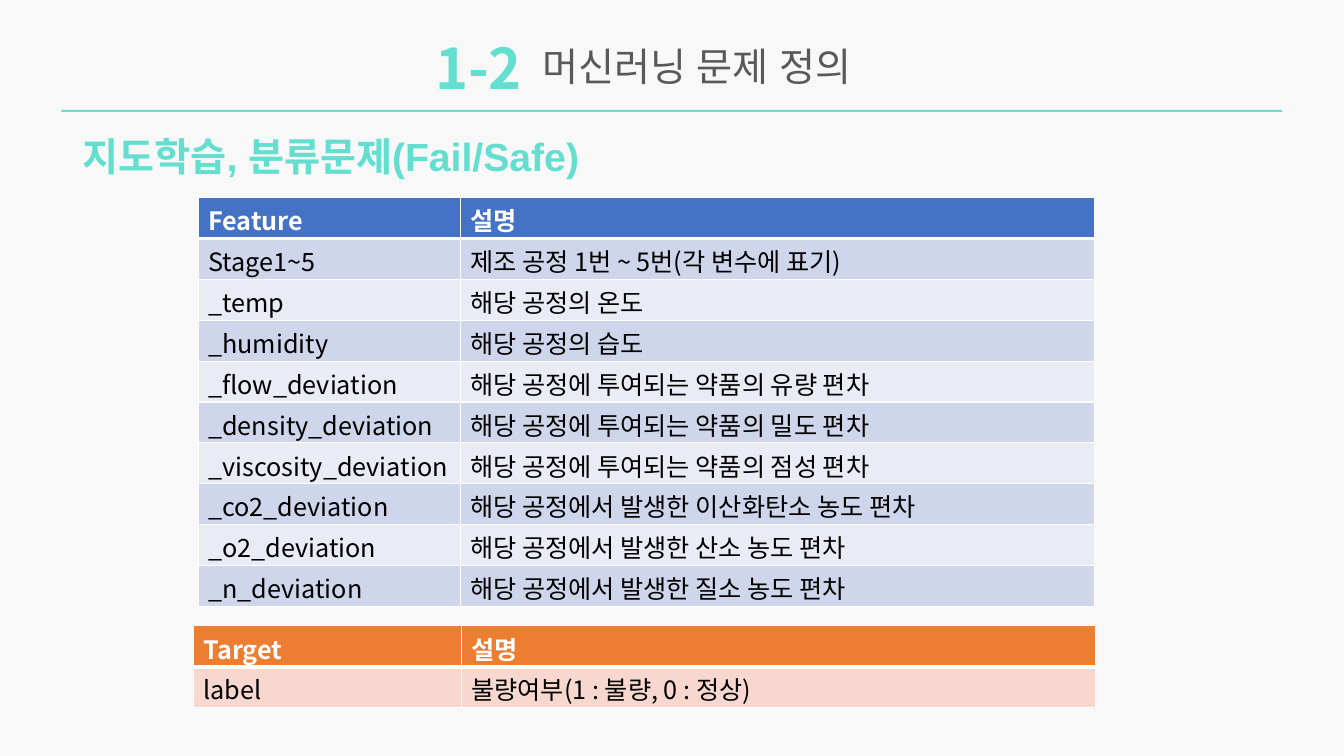
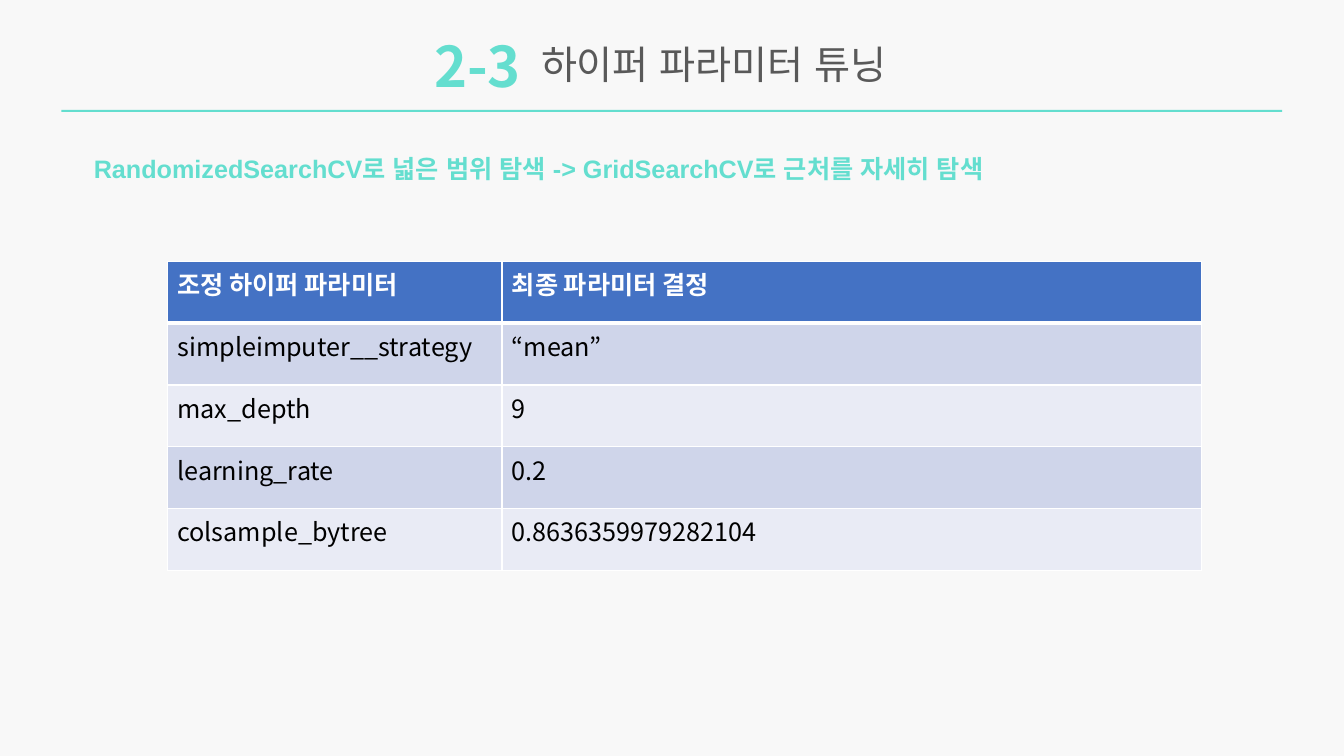
"""Build two slides on a machine learning problem and its tuned parameters."""

import dataclasses
import typing

import lxml.etree
import pptx
import pptx.dml.color
import pptx.enum.shapes
import pptx.enum.text
import pptx.oxml.ns
import pptx.slide
import pptx.table
import pptx.text.text
import pptx.util

Cm = pptx.util.Cm
Anchor = pptx.enum.text.MSO_ANCHOR
Rows = tuple[tuple[str, str], ...]


@dataclasses.dataclass(frozen=True)
class Theme:
    """Colours, fonts and type sizes of the deck."""

    paper: str = "F8F8F8"
    accent: str = "64DECF"
    title: str = "595959"
    ink: str = "000000"
    white: str = "FFFFFF"
    text_font: str = "Arial"
    table_font: str = "Noto Sans CJK KR"
    number_size: int = 40
    title_size: int = 28
    table_size: int = 18


@dataclasses.dataclass(frozen=True)
class Palette:
    """Header fill and alternating row fills of a table."""

    header: str
    bands: tuple[str, ...]


@dataclasses.dataclass(frozen=True)
class Box:
    """A rectangle in centimetres."""

    left: float
    top: float
    width: float
    height: float

    def lengths(self) -> dict[str, pptx.util.Length]:
        """Return the four sides as lengths."""
        return {name: Cm(value) for name, value in dataclasses.asdict(self).items()}


@dataclasses.dataclass(frozen=True)
class Style:
    """Look of one span of text."""

    font: str
    size: int
    color: str
    bold: bool = False


@dataclasses.dataclass(frozen=True)
class Grid:
    """Place, palette and wording of a table."""

    left: float
    top: float
    columns: tuple[float, ...]
    row_height: float
    palette: Palette
    rows: Rows


@dataclasses.dataclass(frozen=True)
class Topic:
    """Content of one slide."""

    number: str
    title: str
    heading_left: float
    heading_top: float
    message: str
    message_box: Box
    message_size: int
    grids: tuple[Grid, ...]


THEME = Theme()
BLUE = Palette("4472C4", ("CFD5EA", "E9EBF5"))
ORANGE = Palette("ED7D31", ("F8D7CE",))
RULE = Box(1.55, 2.77, 30.76, 0.05)

TOPICS = (
    Topic(
        "1-2", "머신러닝 문제 정의", 10.72, 0.71,
        "지도학습, 분류문제(Fail/Safe)", Box(1.83, 3.2, 14, 1.45), 28,
        (
            Grid(4.88, 15.77, (6.75, 15.98), 1.03, ORANGE, (
                ("Target", "설명"),
                ("label", "불량여부(1 : 불량, 0 : 정상)"),
            )),
            Grid(5, 4.98, (6.6, 15.98), 1.03, BLUE, (
                ("Feature", "설명"),
                ("Stage1~5", "제조 공정 1번 ~ 5번(각 변수에 표기)"),
                ("_temp", "해당 공정의 온도"),
                ("_humidity", "해당 공정의 습도"),
                ("_flow_deviation", "해당 공정에 투여되는 약품의 유량 편차"),
                ("_density_deviation", "해당 공정에 투여되는 약품의 밀도 편차"),
                ("_viscosity_deviation", "해당 공정에 투여되는 약품의 점성 편차"),
                ("_co2_deviation", "해당 공정에서 발생한 이산화탄소 농도 편차"),
                ("_o2_deviation", "해당 공정에서 발생한 산소 농도 편차"),
                ("_n_deviation", "해당 공정에서 발생한 질소 농도 편차"),
            )),
        ),
    ),
    Topic(
        "2-3", "하이퍼 파라미터 튜닝", 10.69, 0.66,
        "RandomizedSearchCV로 넓은 범위 탐색 -> GridSearchCV로 근처를 자세히 탐색",
        Box(2.11, 3.73, 29.13, 1.02), 18,
        (
            Grid(4.22, 6.58, (8.43, 17.62), 1.56, BLUE, (
                ("조정 하이퍼 파라미터", "최종 파라미터 결정"),
                ("simpleimputer__strategy", "“mean”"),
                ("max_depth", "9"),
                ("learning_rate", "0.2"),
                ("colsample_bytree", "0.8636359979282104"),
            )),
        ),
    ),
)


def rgb(color: str) -> pptx.dml.color.RGBColor:
    """Turn a hex string into a colour."""
    return pptx.dml.color.RGBColor.from_string(color)


def apply(target: typing.Any, values: dict[str, typing.Any]) -> None:
    """Set each named attribute on the target."""
    for name, value in values.items():
        setattr(target, name, value)


def paint(target: typing.Any, color: str) -> None:
    """Fill the target with one colour."""
    target.fill.solid()
    target.fill.fore_color.rgb = rgb(color)


def add_element(parent: typing.Any, tag: str, **attributes: str) -> typing.Any:
    """Append a drawing element to the parent."""
    return lxml.etree.SubElement(parent, pptx.oxml.ns.qn(tag), attributes)


def write(frame: pptx.text.text.TextFrame, text: str, style: Style) -> None:
    """Write one left-aligned paragraph in the given style."""
    para = frame.paragraphs[0]
    apply(para, {
        "alignment": pptx.enum.text.PP_ALIGN.LEFT,
        "space_before": pptx.util.Pt(0),
        "line_spacing": 1.0,
    })
    span = para.add_run()
    span.text = text
    apply(span.font, {
        "name": style.font,
        "size": pptx.util.Pt(style.size),
        "bold": style.bold,
    })
    span.font.color.rgb = rgb(style.color)
    add_element(span.font._element, "a:ea", typeface=style.font)


def fill_box(shape: typing.Any, box: Box, text: str, style: Style,
             **frame_values: typing.Any) -> None:
    """Place a text shape and write its wording."""
    apply(shape, box.lengths())
    apply(shape.text_frame, {
        "word_wrap": True,
        "auto_size": pptx.enum.text.MSO_AUTO_SIZE.NONE,
        "vertical_anchor": Anchor.TOP,
        **frame_values,
    })
    write(shape.text_frame, text, style)


def remove_bullet(frame: pptx.text.text.TextFrame) -> None:
    """Drop the bullet and indent of the first paragraph."""
    properties = frame.paragraphs[0]._p.get_or_add_pPr()
    apply_indent = {"marL": "0", "indent": "0"}
    for name, value in apply_indent.items():
        properties.set(name, value)
    add_element(properties, "a:buNone")


def set_borders(cell: pptx.table._Cell, bottom: int) -> None:
    """Draw white borders with the given bottom width in points."""
    properties = cell._tc.get_or_add_tcPr()
    widths = {"a:lnL": 1, "a:lnR": 1, "a:lnT": 1, "a:lnB": bottom}
    for index, (tag, width) in enumerate(widths.items()):
        line = add_element(properties, tag, w=str(pptx.util.Pt(width)))
        fill = add_element(line, "a:solidFill")
        add_element(fill, "a:srgbClr", val=THEME.white)
        properties.insert(index, line)


def draw_grid(page: pptx.slide.Slide, grid: Grid) -> None:
    """Draw a table with a header and banded rows."""
    box = Box(grid.left, grid.top, sum(grid.columns), grid.row_height * len(grid.rows))
    table = page.shapes.add_table(
        len(grid.rows), len(grid.columns), **box.lengths()).table
    for column, width in zip(table.columns, grid.columns):
        column.width = Cm(width)
    for index, (row, words) in enumerate(zip(table.rows, grid.rows)):
        row.height = Cm(grid.row_height)
        header = index == 0
        bands = grid.palette.bands
        color = grid.palette.header if header else bands[(index - 1) % len(bands)]
        style = Style(THEME.table_font, THEME.table_size,
                      THEME.white if header else THEME.ink, header)
        for cell, text in zip(row.cells, words):
            apply(cell, {
                "margin_left": Cm(0.25),
                "margin_right": Cm(0),
                "margin_top": Cm(0.1),
                "margin_bottom": Cm(0),
                "vertical_anchor": Anchor.TOP,
            })
            paint(cell, color)
            set_borders(cell, 3 if header else 1)
            write(cell.text_frame, text, style)


def draw_heading(page: pptx.slide.Slide, topic: Topic) -> None:
    """Draw the rule, section number and title."""
    rule = page.shapes.add_shape(
        pptx.enum.shapes.MSO_SHAPE.RECTANGLE, **RULE.lengths())
    rule.shadow.inherit = False
    rule.line.fill.background()
    paint(rule, THEME.accent)
    left, top = topic.heading_left, topic.heading_top
    fill_box(page.shapes.title, Box(left + 2.69, top + 0.24, 13.89, 1.45),
             topic.title, Style(THEME.text_font, THEME.title_size, THEME.title))
    number_box = Box(left, top, 2.92, 1.96)
    fill_box(page.shapes.add_textbox(**number_box.lengths()), number_box, topic.number,
             Style(THEME.table_font, THEME.number_size, THEME.accent, True),
             vertical_anchor=Anchor.MIDDLE, margin_top=Cm(0), margin_bottom=Cm(0))


def draw_topic(deck: typing.Any, topic: Topic) -> None:
    """Add one slide for the topic."""
    page = deck.slides.add_slide(deck.slide_layouts[1])
    draw_heading(page, topic)
    message = page.placeholders[1]
    fill_box(message, topic.message_box, topic.message,
             Style(THEME.text_font, topic.message_size, THEME.accent, True))
    remove_bullet(message.text_frame)
    for grid in topic.grids:
        draw_grid(page, grid)


def main() -> None:
    """Build and save the deck."""
    deck = pptx.Presentation()
    apply(deck, {"slide_width": Cm(33.87), "slide_height": Cm(19.05)})
    paint(deck.slide_master.background, THEME.paper)
    for topic in TOPICS:
        draw_topic(deck, topic)
    deck.save("out.pptx")


if __name__ == "__main__":
    main()
